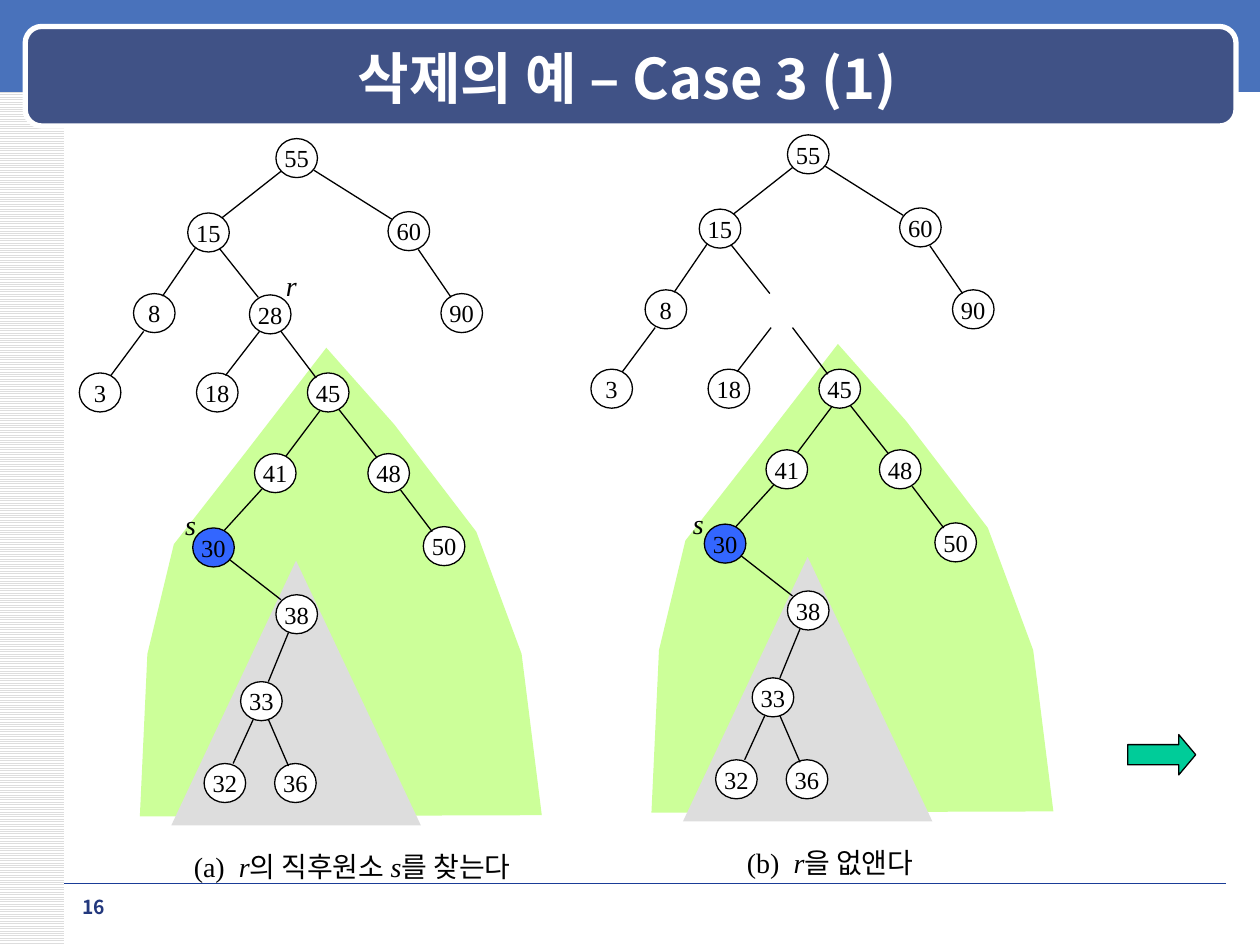
from lxml.etree import SubElement
from pptx import Presentation
from pptx.dml.color import RGBColor
from pptx.enum.dml import MSO_PATTERN
from pptx.enum.shapes import MSO_CONNECTOR, MSO_SHAPE
from pptx.enum.text import MSO_ANCHOR, PP_ALIGN
from pptx.oxml.ns import qn
from pptx.util import Inches, Pt

COLORS = {
    "black": "000000", "white": "FFFFFF", "gray": "DDDDDD", "band": "4972BB",
    "title": "405286", "rule": "1A3D97", "page": "23387D", "subtree": "CCFF99",
    "successor": "3366FF", "arrow": "00CC99",
}
SERIF, SANS = "Times New Roman", "Noto Sans CJK KR"
NODE_W, NODE_H = 0.33, 0.31

# Node key -> left, top; positions belong to the left tree
NODES = {
    55: (2.19, 1.1), 15: (1.49, 1.69), 60: (3.08, 1.68), 8: (1.06, 2.33),
    28: (1.98, 2.34), 90: (3.5, 2.33), 3: (0.63, 2.96), 18: (1.56, 2.96),
    45: (2.44, 2.96), 41: (2.02, 3.6), 48: (2.92, 3.6), 30: (1.53, 4.19),
    50: (3.36, 4.18), 38: (2.19, 4.72), 33: (1.91, 5.41), 32: (1.62, 6.06),
    36: (2.18, 6.06),
}
# Each edge: x1, y1, x2, y2 from parent to child
EDGES = [
    (2.23, 1.36, 1.76, 1.73), (2.49, 1.35, 3.11, 1.74),
    (1.55, 1.97, 1.29, 2.35), (1.74, 1.97, 2.05, 2.36),
    (3.32, 1.98, 3.58, 2.36), (1.14, 2.63, 0.88, 2.98),
    (2.06, 2.63, 1.79, 2.98), (2.23, 2.63, 2.51, 3.0),
    (2.54, 3.26, 2.27, 3.62), (2.69, 3.25, 2.99, 3.63),
    (2.08, 3.88, 1.78, 4.21), (3.18, 3.89, 3.43, 4.22),
    (1.82, 4.44, 2.23, 4.76), (2.29, 5.02, 2.13, 5.41),
    (2.01, 5.71, 1.85, 6.06), (2.13, 5.71, 2.29, 6.08),
]
RIGHT_SUBTREE = [
    (2.59, 2.76), (1.95, 3.59), (1.38, 4.32), (1.17, 5.19), (1.11, 6.48),
    (4.3, 6.47), (4.14, 5.19), (3.78, 4.22), (3.13, 3.37),
]


def rgb(name):
    return RGBColor.from_string(COLORS[name])


def paint(shape, fill, line=None, width=0.75):
    shape.shadow.inherit = False
    shape.fill.solid()
    shape.fill.fore_color.rgb = rgb(fill)
    if line:
        shape.line.color.rgb = rgb(line)
        shape.line.width = Pt(width)
    else:
        shape.line.fill.background()


def add_box(shapes, kind, box, fill, line=None, width=0.75):
    shape = shapes.add_shape(kind, *map(Inches, box))
    paint(shape, fill, line, width)
    return shape


def add_line(shapes, ends, color="black", width=0.75):
    line = shapes.add_connector(MSO_CONNECTOR.STRAIGHT, *map(Inches, ends))
    line.line.color.rgb = rgb(color)
    line.line.width = Pt(width)
    SubElement(line._element.spPr, qn("a:effectLst"))


def add_run(paragraph, text, size, color="black", font=SERIF, bold=False, italic=False):
    run = paragraph.add_run()
    run.text = text
    run.font.size = Pt(size)
    run.font.name = font
    run.font.bold = bold
    run.font.italic = italic
    run.font.color.rgb = rgb(color)
    east_asian = SubElement(run._r.rPr, qn("a:ea"))
    east_asian.set("typeface", SANS)


def add_label(shapes, box, runs, wrap=False):
    """Add 16 pt text from (text, italic) pairs."""
    frame = shapes.add_textbox(*map(Inches, box)).text_frame
    frame.word_wrap = wrap
    for text, italic in runs:
        add_run(frame.paragraphs[0], text, 16, italic=italic)


def add_node(shapes, key, left, top):
    fill = "successor" if key == 30 else "white"
    node = add_box(shapes, MSO_SHAPE.OVAL, (left, top, NODE_W, NODE_H), fill, "black")
    frame = node.text_frame
    frame.word_wrap = False
    frame.vertical_anchor = MSO_ANCHOR.MIDDLE
    frame.paragraphs[0].alignment = PP_ALIGN.CENTER
    add_run(frame.paragraphs[0], str(key), 14)


def add_tree(slide, dx=0, dy=0, removed=()):
    """Draw the search tree shifted by dx, dy and return its group's shapes."""
    shapes = slide.shapes.add_group_shape().shapes
    outline = [(Inches(x + dx), Inches(y + dy)) for x, y in RIGHT_SUBTREE]
    builder = shapes.build_freeform(*outline[0])
    builder.add_line_segments(outline[1:], close=True)
    paint(builder.convert_to_shape(), "subtree")
    add_box(shapes, MSO_SHAPE.ISOSCELES_TRIANGLE,
            (1.36 + dx, 4.45 + dy, 1.98, 2.1), "gray")
    for key, (left, top) in NODES.items():
        if key not in removed:
            add_node(shapes, key, left + dx, top + dy)
    for x1, y1, x2, y2 in EDGES:
        add_line(shapes, (x1 + dx, y1 + dy, x2 + dx, y2 + dy))
    return shapes


def add_background(slide):
    shapes = slide.shapes
    stripes = add_box(shapes, MSO_SHAPE.RECTANGLE, (0, 0, 0.51, 7.5), "white")
    stripes.fill.patterned()
    stripes.fill.pattern = MSO_PATTERN.LIGHT_HORIZONTAL
    stripes.fill.fore_color.rgb = rgb("gray")
    stripes.fill.back_color.rgb = rgb("white")
    add_box(shapes, MSO_SHAPE.RECTANGLE, (0, -0.03, 10, 0.76), "band")
    add_line(shapes, (0.51, 7.01, 9.73, 7.01), "rule", 0.5)
    add_box(shapes, MSO_SHAPE.ROUNDED_RECTANGLE, (0.2, 0.21, 9.61, 0.79),
            "title", "white", 3)


def set_title(slide, text):
    title = slide.shapes.title
    title.left, title.top, title.width, title.height = map(Inches, (0.71, 0.3, 8.54, 0.62))
    title.text_frame.vertical_anchor = MSO_ANCHOR.MIDDLE
    paragraph = title.text_frame.paragraphs[0]
    paragraph.alignment = PP_ALIGN.CENTER
    add_run(paragraph, text, 32, "white", SANS, bold=True)
    slide.shapes._spTree.append(title._element)  # in front of the title bar


def add_page_number(slide, number):
    frame = slide.shapes.add_textbox(*map(Inches, (0.51, 7.06, 0.47, 0.27))).text_frame
    frame.word_wrap = True
    frame.paragraphs[0].alignment = PP_ALIGN.CENTER
    add_run(frame.paragraphs[0], number, 11, "page", SANS, bold=True)


def main():
    deck = Presentation()
    deck.slide_width, deck.slide_height = Inches(10), Inches(7.5)
    slide = deck.slides.add_slide(deck.slide_layouts[5])
    add_background(slide)
    set_title(slide, "삭제의 예 – Case 3 (1)")

    before = add_tree(slide)
    add_label(before, (2.17, 2.08, 0.29, 0.37), [("r", True)])
    add_label(before, (1.37, 3.98, 0.29, 0.37), [("s", True)])
    add_label(before, (1.44, 6.69, 2.9, 0.37),
              [("(a)  ", False), ("r", True), ("의 직후원소 ", False),
               ("s", True), ("를 찾는다", False)], wrap=True)

    after = add_tree(slide, 4.06, -0.03, removed=(28,))
    add_label(after, (5.4, 3.97, 0.29, 0.37), [("s", True)])
    add_label(after, (5.83, 6.66, 1.61, 0.37),
              [("(b)  ", False), ("r", True), ("을 없앤다", False)])

    arrow = add_box(slide.shapes, MSO_SHAPE.RIGHT_ARROW, (8.95, 5.83, 0.54, 0.32),
                    "arrow", "black")
    arrow.adjustments[1] = 0.42
    add_page_number(slide, "16")
    deck.save("out.pptx")


if __name__ == "__main__":
    main()
